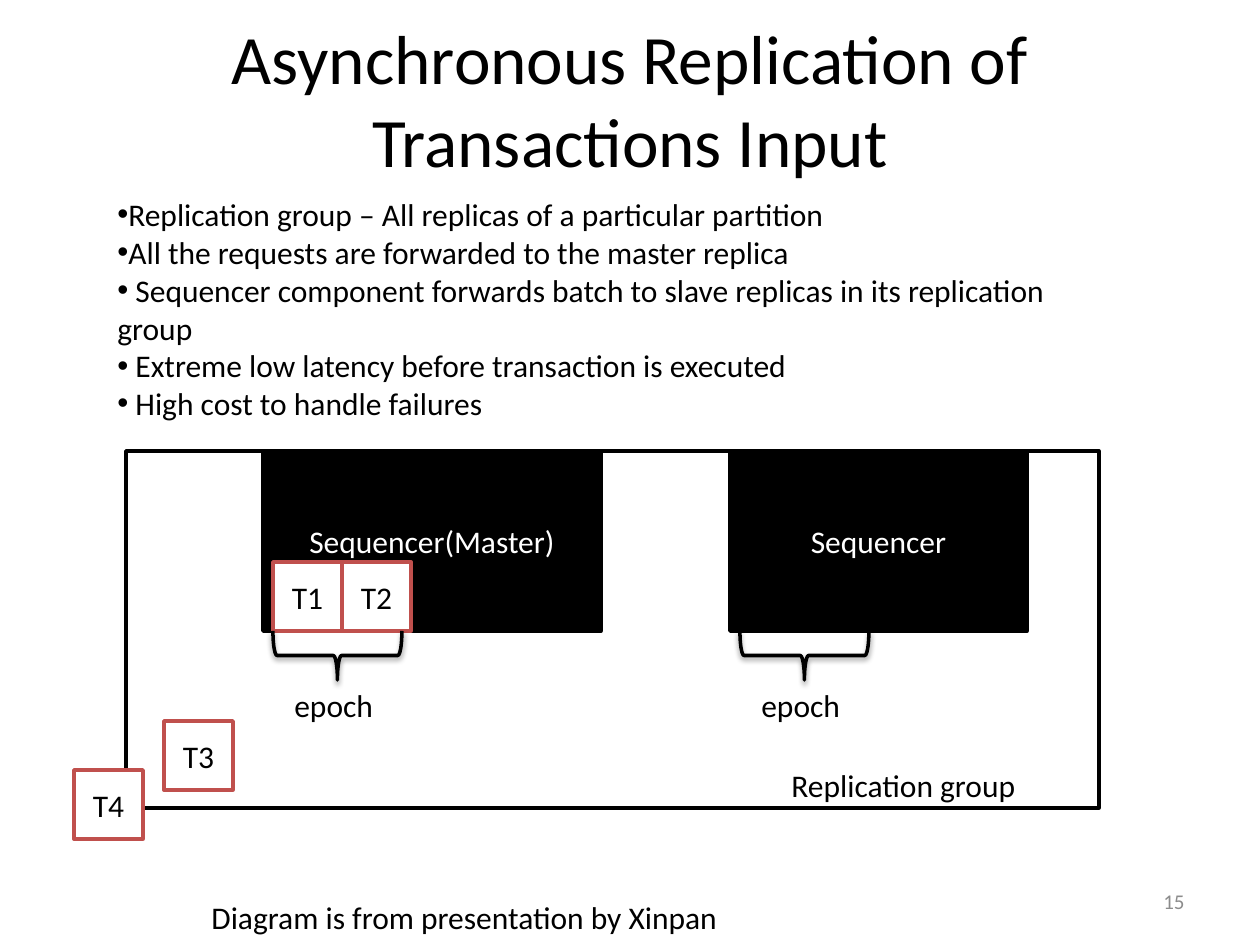
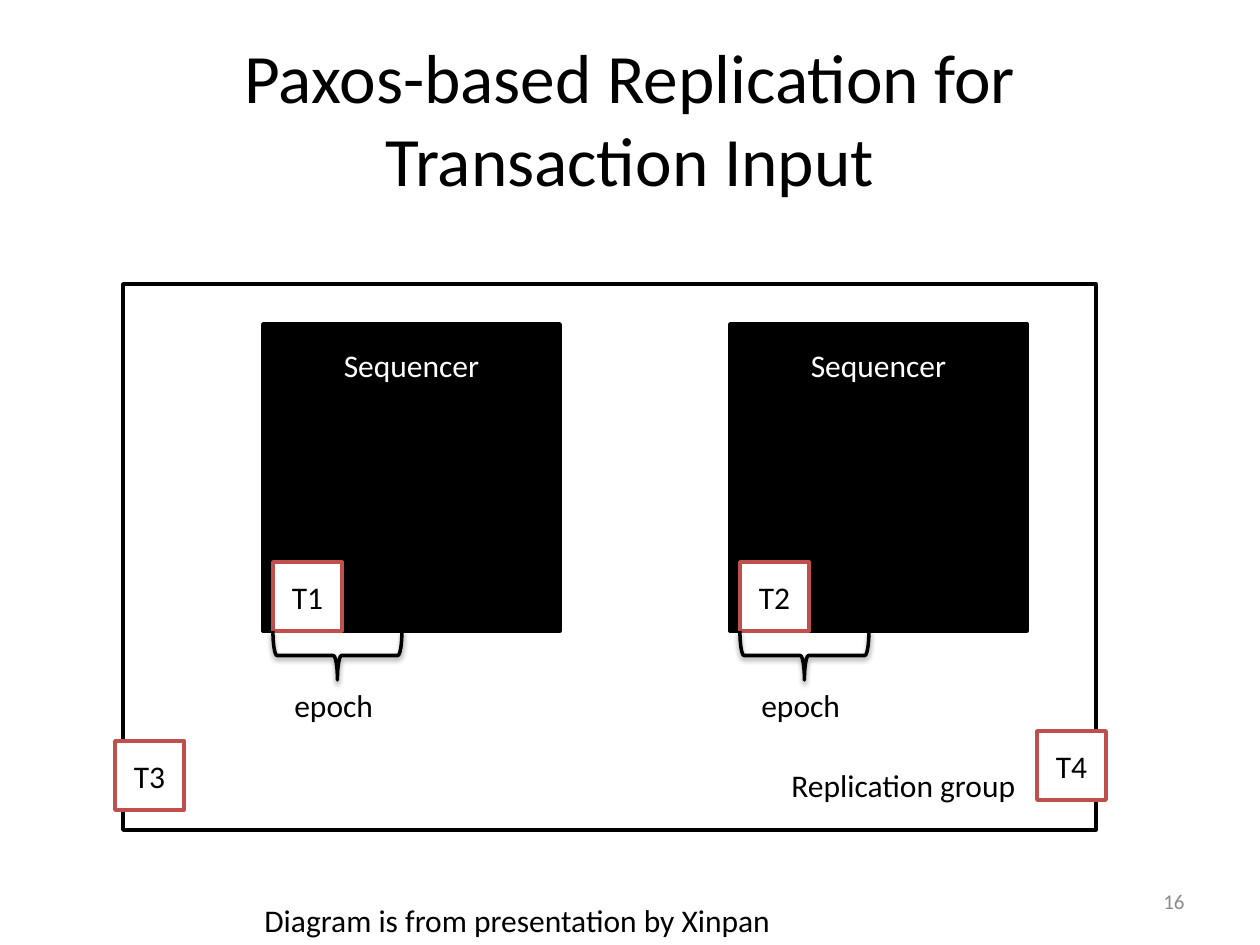
from dataclasses import dataclass
from typing import NamedTuple

from lxml.etree import SubElement
from pptx import Presentation
from pptx.dml.color import RGBColor
from pptx.enum.shapes import MSO_SHAPE as Shape
from pptx.enum.text import MSO_ANCHOR as Anchor, MSO_AUTO_SIZE as AutoSize, PP_ALIGN as Align
from pptx.oxml.ns import qn
from pptx.util import Emu, Pt


@dataclass(frozen=True)
class Theme:
    """Colours, font and sizes shared by the slides."""
    font: str = "Calibri"
    ink: str = "000000"
    paper: str = "FFFFFF"
    token_edge: str = "C0504D"
    page_grey: str = "8C8C8C"
    title_size: float = 39.6
    body_size: float = 18
    page_size: float = 12
    line_width: float = 2


class Box(NamedTuple):
    """A place on the slide in px."""
    left: int
    top: int
    width: int
    height: int

    def inner(self, dx, dy, width, height):
        """Return a box offset from this one's top left corner."""
        return Box(self.left + dx, self.top + dy, width, height)


THEME = Theme()
PX_PER_INCH = 126
SLIDE = Box(0, 0, 1260, 945)
TOKEN = 69
LABEL_HEIGHT = 50
BRACE_WIDTH, BRACE_HEIGHT = 129, 49
SEQUENCER_INSET = 10
MASTER_LEFT, SECOND_LEFT = 263, 730
SEQUENCER_BOTTOM = 631
REQUEST_POINTS = (
    "Replication group – All replicas of a particular partition",
    "All the requests are forwarded to the master replica",
    " Sequencer component forwards batch to slave replicas in its replication group",
    " Extreme low latency before transaction is executed",
    " High cost to handle failures",
)


def px(length):
    """Turn px into EMU."""
    return Emu(round(length * 914400 / PX_PER_INCH))


def emu(box):
    """Turn a box into EMU lengths."""
    return [px(length) for length in box]


def write(paragraph, text, color=THEME.ink, size=THEME.body_size, align=Align.LEFT):
    """Add one styled run to a paragraph."""
    paragraph.alignment = align
    run = paragraph.add_run()
    run.text = text
    run.font.name = THEME.font
    run.font.size = Pt(size)
    run.font.color.rgb = RGBColor.from_string(color)


def add_text(slide, box, text, anchor=Anchor.TOP, **style):
    """Place a wrapped text box with one paragraph."""
    frame = slide.shapes.add_textbox(*emu(box)).text_frame
    frame.word_wrap = True
    frame.vertical_anchor = anchor
    write(frame.paragraphs[0], text, **style)
    return frame


def add_label(slide, box, text):
    """Place a body label that grows with its text."""
    add_text(slide, box, text).auto_size = AutoSize.SHAPE_TO_FIT_TEXT


def add_block(slide, box, fill=THEME.paper, edge=THEME.ink, kind=Shape.RECTANGLE):
    """Place an outlined shape, unfilled when fill is None."""
    block = slide.shapes.add_shape(kind, *emu(box))
    block.shadow.inherit = False
    if fill:
        block.fill.solid()
        block.fill.fore_color.rgb = RGBColor.from_string(fill)
    else:
        block.fill.background()
    block.line.color.rgb = RGBColor.from_string(edge)
    block.line.width = Pt(THEME.line_width)
    return block


def add_token(slide, left, top, name):
    """Place a square transaction token."""
    token = add_block(slide, Box(left, top, TOKEN, TOKEN), edge=THEME.token_edge)
    token.text_frame.vertical_anchor = Anchor.MIDDLE
    write(token.text_frame.paragraphs[0], name, align=Align.CENTER)


def add_shadow(shape):
    """Give a shape a soft shadow falling straight down."""
    effects = shape._element.spPr.find(qn("a:effectLst"))
    shadow = SubElement(effects, qn("a:outerShdw"), blurRad="40000", dist="20000",
                        dir="5400000", rotWithShape="0")
    color = SubElement(shadow, qn("a:srgbClr"), val=THEME.ink)
    SubElement(color, qn("a:alpha"), val="38000")


def add_epoch(slide, box):
    """Draw a downward brace across the box with its epoch label below."""
    shift = (box.width - box.height) / 2
    upright = box.inner(shift, -shift, box.height, box.width)
    brace = add_block(slide, upright, fill=None, kind=Shape.LEFT_BRACE)
    brace.rotation = 270
    add_shadow(brace)
    add_label(slide, box.inner(9, box.height, 149, LABEL_HEIGHT), "epoch")


def add_sequencer(slide, box, name, tokens=(), label_top=None):
    """Draw a sequencer with its tokens along the bottom and its epoch."""
    sequencer = add_block(slide, box, fill=THEME.ink)
    frame = sequencer.text_frame
    frame.vertical_anchor = Anchor.MIDDLE
    if label_top is not None:
        frame.vertical_anchor = Anchor.TOP
        frame.margin_top = px(label_top)
    write(frame.paragraphs[0], name, color=THEME.paper, align=Align.CENTER)
    for place, token in enumerate(tokens):
        add_token(slide, box.left + SEQUENCER_INSET + place * TOKEN,
                  box.top + box.height - TOKEN, token)
    add_epoch(slide, box.inner(SEQUENCER_INSET, box.height, BRACE_WIDTH, BRACE_HEIGHT))


def add_points(slide, box, points):
    """Write a bulleted list."""
    frame = add_text(slide, box, points[0])
    frame.auto_size = AutoSize.SHAPE_TO_FIT_TEXT
    for point in points[1:]:
        write(frame.add_paragraph(), point)
    for paragraph in frame.paragraphs:
        properties = paragraph._p.get_or_add_pPr()
        SubElement(properties, qn("a:buFont"), typeface="Arial")
        SubElement(properties, qn("a:buChar"), char="•")


def start_slide(deck, title, title_height, page, credit_box):
    """Add a blank slide with title, page number and credit."""
    slide = deck.slides.add_slide(deck.slide_layouts[6])
    add_text(slide, SLIDE.inner(63, 38, 1134, title_height), title, Anchor.MIDDLE,
             size=THEME.title_size, align=Align.CENTER)
    add_text(slide, SLIDE.inner(903, 876, 294, LABEL_HEIGHT), str(page), Anchor.MIDDLE,
             color=THEME.page_grey, size=THEME.page_size, align=Align.RIGHT)
    add_label(slide, credit_box, "Diagram is from presentation by Xinpan")
    return slide


def add_group(slide, box):
    """Draw the frame of the replication group and its label."""
    add_block(slide, box)
    add_label(slide, SLIDE.inner(779, 760, 307, LABEL_HEIGHT), "Replication group")


def asynchronous_slide(deck):
    """Build the slide on asynchronous replication."""
    slide = start_slide(deck, "Asynchronous Replication of Transactions Input", 120, 15,
                        Box(199, 892, 599, LABEL_HEIGHT))
    add_points(slide, Box(105, 189, 998, 242), REQUEST_POINTS)
    group = Box(126, 451, 973, 357)
    add_group(slide, group)
    height = SEQUENCER_BOTTOM - group.top
    add_sequencer(slide, Box(SECOND_LEFT, group.top, 297, height), "Sequencer")
    add_sequencer(slide, Box(MASTER_LEFT, group.top, 338, height), "Sequencer(Master)",
                  ("T1", "T2"))
    add_token(slide, group.left + 38, group.top + 270, "T3")
    add_token(slide, group.left - 52, group.top + 319, "T4")


def paxos_slide(deck):
    """Build the slide on Paxos-based replication."""
    slide = start_slide(deck, "Paxos-based Replication for Transaction Input", 158, 16,
                        Box(252, 895, 599, LABEL_HEIGHT))
    group = Box(123, 284, 973, 546)
    add_group(slide, group)
    top = group.top + 40
    for left, token in ((MASTER_LEFT, "T1"), (SECOND_LEFT, "T2")):
        add_sequencer(slide, Box(left, top, 297, SEQUENCER_BOTTOM - top), "Sequencer",
                      (token,), label_top=22)
    add_token(slide, group.left - 8, group.top + 457, "T3")
    add_token(slide, group.left + 914, group.top + 447, "T4")


def main():
    """Build and save the deck."""
    deck = Presentation()
    deck.slide_width, deck.slide_height = px(SLIDE.width), px(SLIDE.height)
    asynchronous_slide(deck)
    paxos_slide(deck)
    deck.save("out.pptx")


if __name__ == "__main__":
    main()
